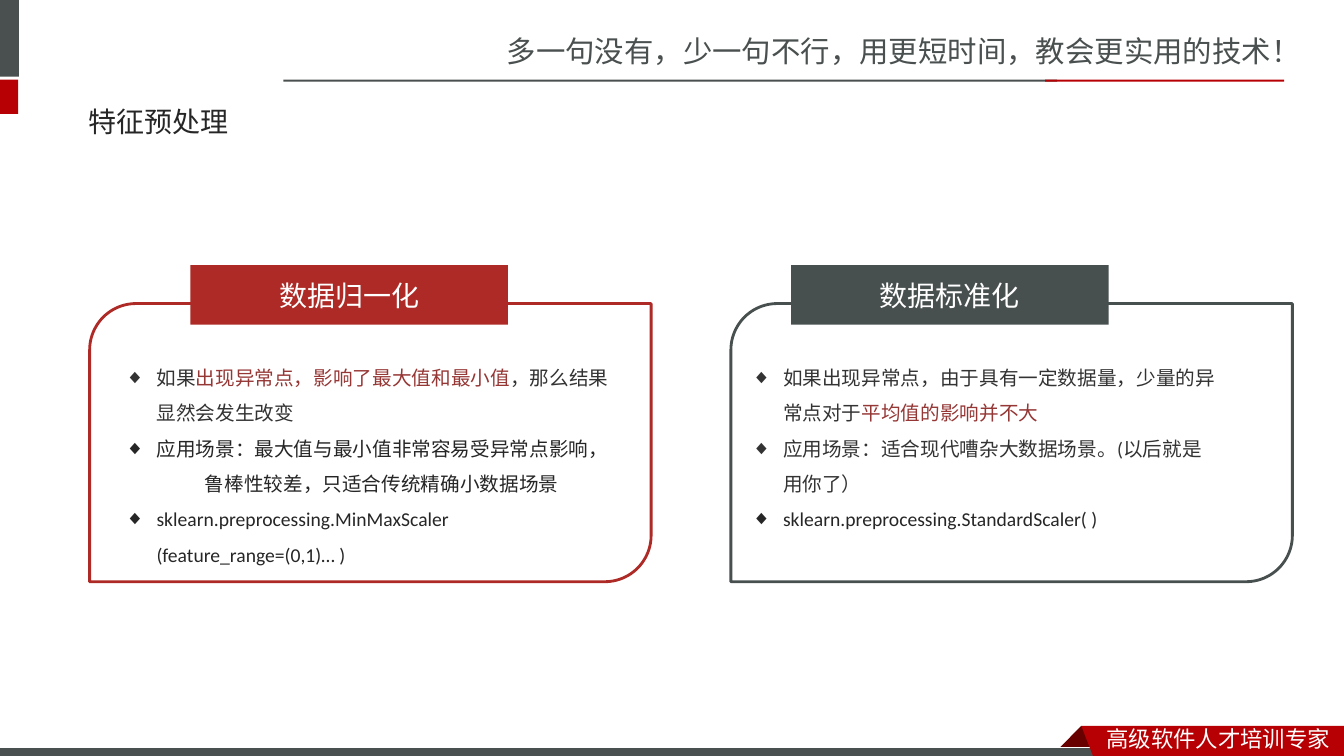
from lxml import etree
from pptx import Presentation
from pptx.dml.color import RGBColor
from pptx.enum import shapes, text
from pptx.oxml import ns
from pptx.util import Cm, Pt

GREY = RGBColor(0x49, 0x50, 0x4F)
SLATE = RGBColor(0x48, 0x50, 0x4F)
RED = RGBColor(0xB6, 0x00, 0x04)
DARK = RGBColor(0x68, 0x00, 0x00)
BRICK = RGBColor(0xAD, 0x2A, 0x26)
WINE = RGBColor(0x95, 0x37, 0x35)
INK = RGBColor(0x26, 0x26, 0x26)
SOFT = RGBColor(0x33, 0x33, 0x33)
WHITE = RGBColor(0xFF, 0xFF, 0xFF)
HAN = "Noto Sans CJK SC"
HANG = 0.79

SCALE = [
    (True, [("如果", SOFT), ("出现异常点，影响了最大值和最小值", WINE),
            ("，那么结果显然会发生改变", SOFT)]),
    (True, [("应用场景：最大值与最小值非常容易受异常点影响，", INK)]),
    (False, [("鲁棒性较差，只适合传统精确小数据场景", INK)]),
    (True, [("sklearn.preprocessing.MinMaxScaler (feature_range=(0,1)… )", INK)]),
]
NORM = [
    (True, [("如果出现异常点，由于具有一定数据量，少量的异常点对于", SOFT),
            ("平均值的影响并不大", WINE)]),
    (True, [("应用场景：适合现代嘈杂大数据场景。(以后就是用你了）", SOFT)]),
    (True, [("sklearn.preprocessing.StandardScaler( )", INK)]),
]


def place(item, box):
    """Move an item to a box given in centimetres."""
    item.left, item.top, item.width, item.height = map(Cm, box)


def write(para, words, size, face, color):
    """Add one run with Latin and East Asian fonts."""
    run = para.add_run()
    run.text = words
    run.font.size = Pt(size)
    run.font.name = face
    run.font.color.rgb = color
    props = run._r.get_or_add_rPr()
    props.set("lang", "zh-CN")
    etree.SubElement(props, ns.qn("a:ea"), typeface=HAN)


def paint(shape, fill, line=None, width=0.75):
    """Fill a shape and outline it if a line colour is given."""
    shape.shadow.inherit = False
    shape.fill.solid()
    shape.fill.fore_color.rgb = fill
    if line is None:
        shape.line.fill.background()
    else:
        shape.line.color.rgb = line
        shape.line.width = Pt(width)


def draw(slide, kind, box, fill, line=None, width=0.75):
    """Add a painted preset shape."""
    shape = slide.shapes.add_shape(kind, *map(Cm, box))
    paint(shape, fill, line, width)
    return shape


def outline(slide, points, fill):
    """Add a closed painted polygon."""
    spots = [(Cm(x), Cm(y)) for x, y in points]
    form = slide.shapes.build_freeform(*spots[0], scale=1.0)
    form.add_line_segments(spots[1:], close=True)
    paint(form.convert_to_shape(), fill)


def label(slide, box, words, size, color):
    """Add a one-line text box."""
    frame = slide.shapes.add_textbox(*map(Cm, box)).text_frame
    frame.word_wrap = True
    write(frame.paragraphs[0], words, size, HAN, color)


def header(slide, box):
    """Draw the side blocks, the slogan and its rule."""
    x, y, w, h = box
    rect = shapes.MSO_SHAPE.RECTANGLE
    draw(slide, rect, (x, y, 0.48, 1.93), GREY)
    draw(slide, rect, (x, y + 2.01, 0.46, 0.86), RED)
    draw(slide, rect, (x + 7.14, y + 2.01, 19.5, 0.05), GREY)
    draw(slide, rect, (x + 26.34, y + 2.01, 6.02, 0.05), RED)
    label(slide, (x + 12.52, y + 0.71, w - 12.52, 1.19),
          "多一句没有，少一句不行，用更短时间，教会更实用的技术！", 21, GREY)


def footer(slide, box):
    """Draw the bottom bar and the folded ribbon."""
    x, y, w, h = box
    fold = x + 27.25
    outline(slide, [(fold, y), (fold + 0.56, y + 0.56), (fold + 0.54, y + 0.58),
                    (fold - 0.53, y + 0.58), (fold - 0.55, y + 0.56)], DARK)
    draw(slide, shapes.MSO_SHAPE.RECTANGLE, (x - 0.03, y + 0.54, 27.94, 0.3),
         GREY, WHITE)
    outline(slide, [(fold, y), (x + w, y), (x + w, y + h),
                    (fold + 0.33, y + h)], RED)
    label(slide, (x + 27.64, y - 0.13, 6.22, 0.94), "高级软件人才培训专家", 16, WHITE)


def heading(title, box, words):
    """Fill the title placeholder."""
    place(title, box)
    frame = title.text_frame
    frame.auto_size = text.MSO_AUTO_SIZE.NONE
    frame.vertical_anchor = text.MSO_ANCHOR.MIDDLE
    para = frame.paragraphs[0]
    para.alignment = text.PP_ALIGN.LEFT
    write(para, words, 20, "Calibri", INK)


def points(body, box, items):
    """Fill a body placeholder with diamond points and bring it forward."""
    place(body, box)
    body.element.getparent().append(body.element)
    frame = body.text_frame
    frame.auto_size = text.MSO_AUTO_SIZE.NONE
    frame.vertical_anchor = text.MSO_ANCHOR.TOP
    for i, (mark, runs) in enumerate(items):
        para = frame.add_paragraph() if i else frame.paragraphs[0]
        props = para._p.get_or_add_pPr()
        props.set("marL", str(Cm(HANG if mark else HANG + 1.22)))
        props.set("indent", str(-Cm(HANG) if mark else 0))
        if mark:
            etree.SubElement(props, ns.qn("a:buChar"), char="◆")
        else:
            etree.SubElement(props, ns.qn("a:buNone"))
        para.line_spacing = 1.5
        para.space_before = Pt(0)
        for words, color in runs:
            write(para, words, 14, "Calibri", color)


def panel(slide, body, box, color, name, items, tab, inset, width):
    """Draw a framed panel with a tab and a list."""
    x, y, w, h = box
    draw(slide, shapes.MSO_SHAPE.ROUND_2_DIAG_RECTANGLE, box, WHITE, color, 2)
    top = draw(slide, shapes.MSO_SHAPE.RECTANGLE, (x + tab, y - 0.97, 8, 1.5), color)
    frame = top.text_frame
    frame.vertical_anchor = text.MSO_ANCHOR.MIDDLE
    para = frame.paragraphs[0]
    para.alignment = text.PP_ALIGN.CENTER
    write(para, name, 20, "Lato", WHITE)
    points(body, (x + inset, y + 1.15, width, h - 1.15), items)


def main():
    """Build and save the slide."""
    deck = Presentation()
    deck.slide_width, deck.slide_height = Cm(33.87), Cm(19.05)
    slide = deck.slides.add_slide(deck.slide_layouts[3])
    title, left, right = slide.placeholders
    header(slide, (0, 0, 33.87, 2.9))
    footer(slide, (0, 18.29, 33.87, 0.85))
    heading(title, (1.98, 2.34, 23.24, 1.45), "特征预处理")
    panel(slide, left, (2.26, 7.65, 14.15, 7.01), BRICK, "数据归一化",
          SCALE, 2.54, 0.64, 12.9)
    panel(slide, right, (18.42, 7.65, 14.15, 7.01), SLATE, "数据标准化",
          NORM, 1.52, 0.27, 12.27)
    deck.save("out.pptx")


if __name__ == "__main__":
    main()
